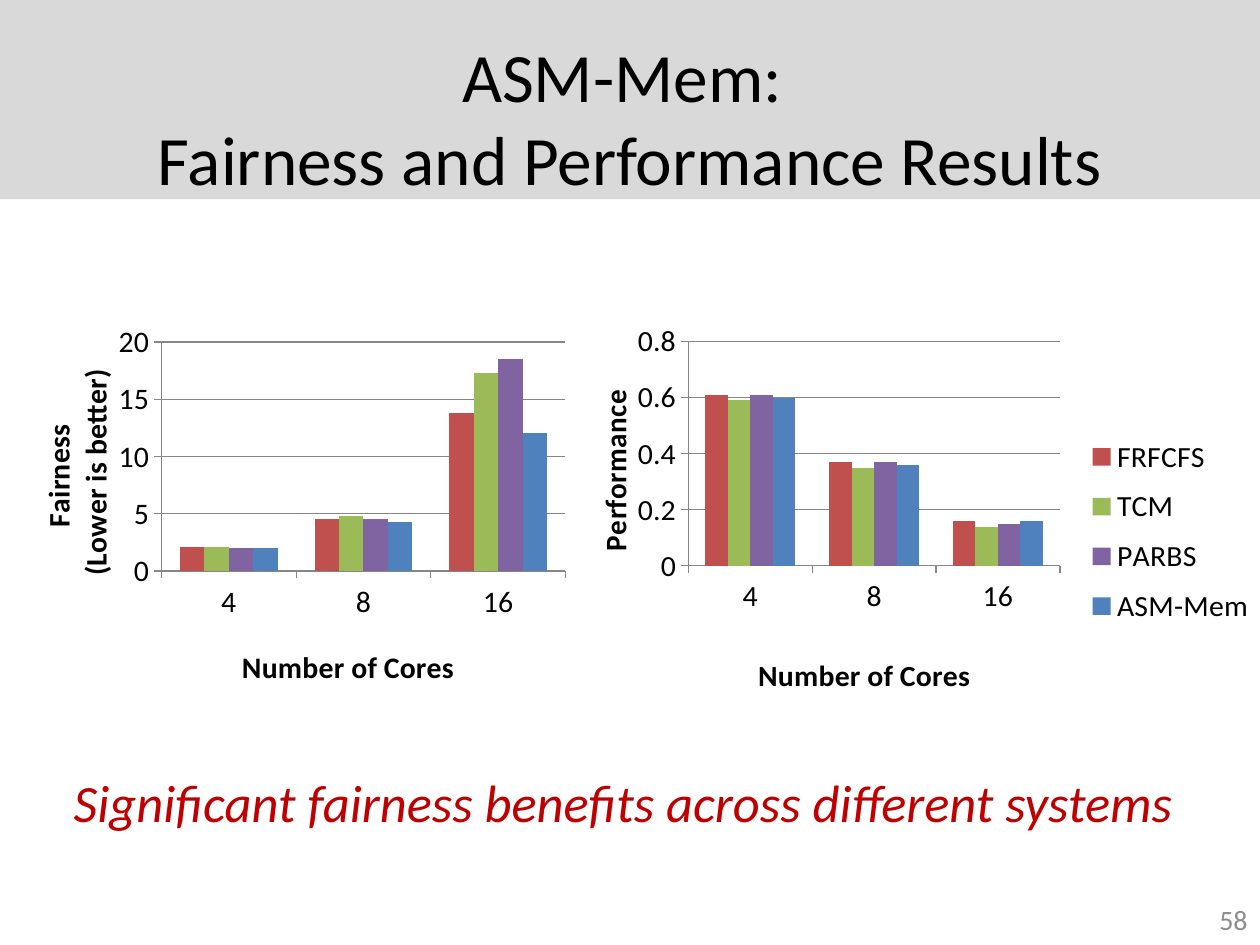
import lxml.etree
import pptx
import pptx.chart.data
import pptx.dml.color
import pptx.enum.chart
import pptx.enum.shapes
import pptx.enum.text
import pptx.oxml.ns
import pptx.util

Inches, Pt = pptx.util.Inches, pptx.util.Pt
ALIGN = pptx.enum.text.PP_ALIGN
ANCHOR = pptx.enum.text.MSO_ANCHOR
TICK = pptx.enum.chart.XL_TICK_MARK

# Content
THEME = {
    "font": "Calibri", "ink": "000000", "band": "D9D9D9", "note": "C00000",
    "page": "8C8C8C", "rule": "868686",
    "bars": ["C0504D", "9BBB59", "8064A2", "4F81BD"],
    "title": 39.6, "claim": 30, "chart": 17, "number": 16,
}
CORES = ["4", "8", "16"]
NAMES = ["FRFCFS", "TCM", "PARBS", "ASM-Mem"]
# Plot, title and legend spots are fractions of the chart's width and height
CHARTS = [
    {"box": (0, 2.5, 4.58, 3.08), "label": "Fairness \n(Lower is better)",
     "names": ["Series 1", "Series 2", "Series 3", "Series 4"],
     "rows": [(2.1, 4.5, 13.8), (2.1, 4.8, 17.3), (2, 4.5, 18.5), (2, 4.3, 12.1)],
     "top": 20, "step": 5, "plot": (0.28, 0.07, 0.7, 0.59),
     "cores": (0.41, 0.84), "scale": (0.06, 0.13), "legend": None},
    {"box": (4.33, 2.5, 5.67, 3.08), "label": "Performance", "names": NAMES,
     "rows": [(0.61, 0.37, 0.16), (0.59, 0.35, 0.14), (0.61, 0.37, 0.15),
              (0.6, 0.36, 0.16)],
     "top": 0.8, "step": 0.2, "plot": (0.2, 0.07, 0.52, 0.59),
     "cores": (0.29, 0.88), "scale": (0.06, 0.19),
     "legend": (0.75, 0.29, 0.25, 0.56)},
]
# Text, box, size, colour, alignment, anchor, italic
TEXTS = [
    ("ASM-Mem: \vFairness and Performance Results", (0.5, 0.3, 9, 1.25),
     "title", "ink", ALIGN.CENTER, ANCHOR.MIDDLE, False),
    ("58", (7.67, 7.1, 2.33, 0.4),
     "number", "page", ALIGN.RIGHT, ANCHOR.MIDDLE, False),
    ("Significant fairness benefits across different systems ",
     (0.33, 6.06, 9.33, 0.61), "claim", "note", ALIGN.CENTER, ANCHOR.TOP, True),
]


def tint(name):
    return pptx.dml.color.RGBColor.from_string(THEME.get(name, name))


def style(font, size, color):
    font.name, font.size = THEME["font"], Pt(THEME[size])
    font.color.rgb = tint(color)


def place(part, index, spot, inner=False):
    """Give a chart part a manual layout as its child at index."""
    qn = pptx.oxml.ns.qn
    for old in part.findall(qn("c:layout")):
        part.remove(old)
    node = lxml.etree.Element(qn("c:layout"))
    form = lxml.etree.SubElement(node, qn("c:manualLayout"))
    items = [("layoutTarget", "inner")] if inner else []
    items += [("xMode", "edge"), ("yMode", "edge")]
    items += zip("xywh", spot)
    for tag, value in items:
        lxml.etree.SubElement(form, qn("c:" + tag)).set("val", str(value))
    part.insert(index, node)


def add_text(slide, text, box, size, color, align, anchor, slant):
    frame = slide.shapes.add_textbox(*map(Inches, box)).text_frame
    frame.word_wrap, frame.vertical_anchor = True, anchor
    frame.text = text
    para = frame.paragraphs[0]
    para.alignment = align
    style(para.font, size, color)
    para.font.italic = slant


def set_axis(axis, label, spot):
    axis.major_tick_mark = TICK.OUTSIDE
    axis.minor_tick_mark = TICK.NONE
    axis.format.line.color.rgb = tint("rule")
    axis.axis_title.text_frame.text = label
    for para in axis.axis_title.text_frame.paragraphs:
        style(para.font, "chart", "ink")
        para.font.bold = True
    place(axis.axis_title._element, 1, spot)


def add_bars(slide, spec):
    data = pptx.chart.data.CategoryChartData()
    data.categories = CORES
    for name, row in zip(spec["names"], spec["rows"]):
        data.add_series(name, row)
    kind = pptx.enum.chart.XL_CHART_TYPE.COLUMN_CLUSTERED
    chart = slide.shapes.add_chart(kind, *map(Inches, spec["box"]), data).chart
    style(chart.font, "chart", "ink")
    chart.has_title = False

    # Bars
    plot = chart.plots[0]
    plot.gap_width, plot.overlap, plot.vary_by_categories = 150, 0, False
    for series, color in zip(plot.series, THEME["bars"]):
        series.format.fill.solid()
        series.format.fill.fore_color.rgb = tint(color)
    place(chart._chartSpace.chart.plotArea, 0, spec["plot"], inner=True)

    # Axes
    set_axis(chart.category_axis, "Number of Cores", spec["cores"])
    axis = chart.value_axis
    set_axis(axis, spec["label"], spec["scale"])
    axis.minimum_scale, axis.maximum_scale = 0, spec["top"]
    axis.major_unit = spec["step"]
    axis.tick_labels.number_format = "General"
    axis.tick_labels.number_format_is_linked = False
    axis.has_major_gridlines = True
    axis.major_gridlines.format.line.color.rgb = tint("rule")

    # Legend
    chart.has_legend = spec["legend"] is not None
    if chart.has_legend:
        chart.legend.position = pptx.enum.chart.XL_LEGEND_POSITION.RIGHT
        chart.legend.include_in_layout = False
        style(chart.legend.font, "chart", "ink")
        place(chart.legend._element, 1, spec["legend"])


def main():
    deck = pptx.Presentation()
    deck.slide_width, deck.slide_height = Inches(10), Inches(7.5)
    slide = deck.slides.add_slide(deck.slide_layouts[6])

    # Title band
    band = slide.shapes.add_shape(
        pptx.enum.shapes.MSO_SHAPE.RECTANGLE, 0, 0, Inches(10), Inches(1.58))
    band.shadow.inherit = False
    band.fill.solid()
    band.fill.fore_color.rgb = tint("band")
    band.line.fill.background()

    for item in TEXTS:
        add_text(slide, *item)
    for spec in CHARTS:
        add_bars(slide, spec)
    deck.save("out.pptx")


if __name__ == "__main__":
    main()
